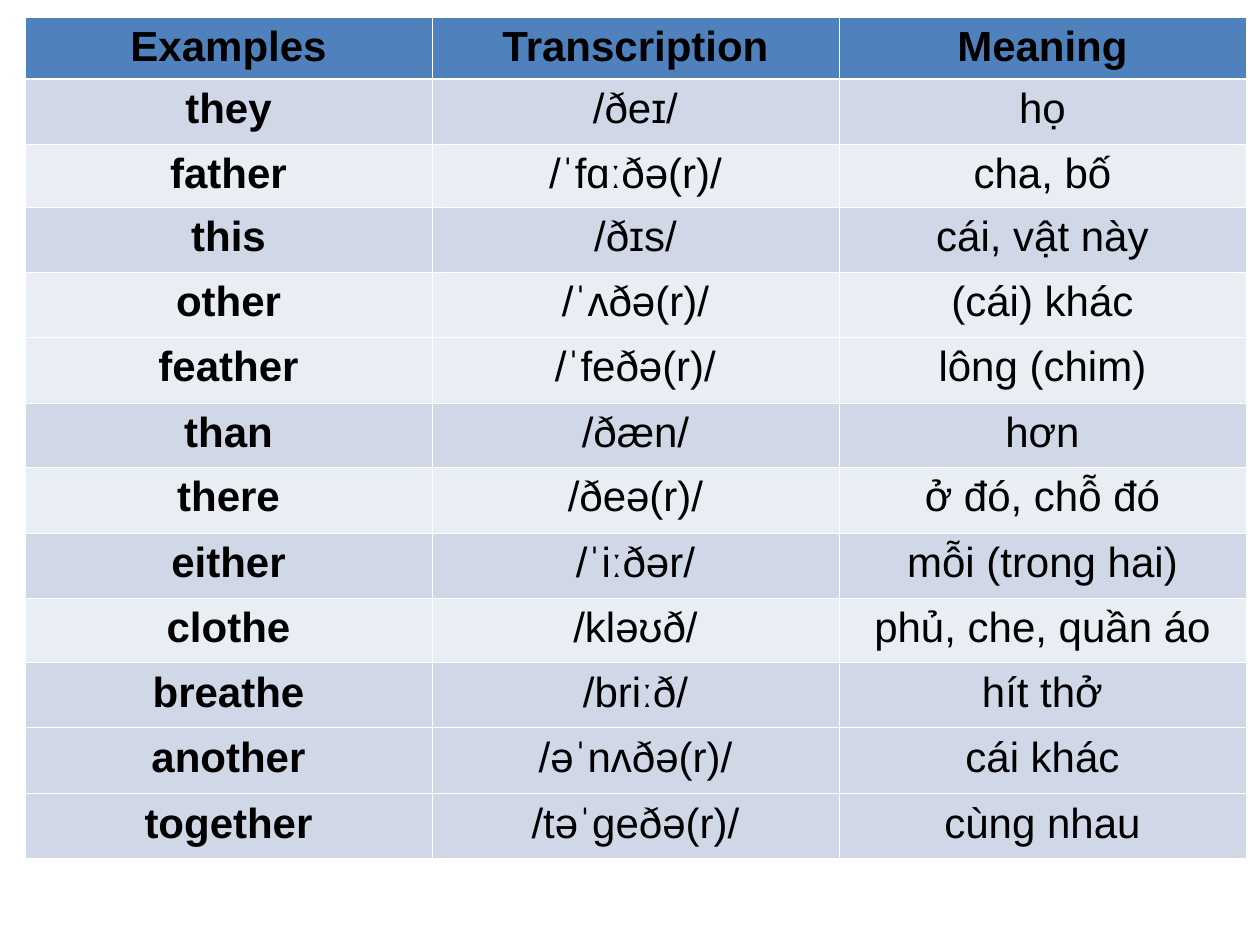
from lxml import etree
from pptx import Presentation
from pptx.dml.color import RGBColor
from pptx.enum.text import PP_ALIGN
from pptx.oxml.ns import qn
from pptx.util import Emu, Pt

CENTER = PP_ALIGN.CENTER
EMU_PER_PX = 914400 / 126

THEME = {
    "font": "Arial",
    "size": 24,
    "text": "000000",
    "header": "4F81BD",
    "dark": "D0D8E8",
    "light": "E9EDF4",
    "border": "FFFFFF",
    "thin": 0.45,
    "thick": 1.47,
}

HEADINGS = ("Examples", "Transcription", "Meaning")
VOCABULARY = [
    ("they", "/ðeɪ/", "họ", "dark"),
    ("father", "/ˈfɑːðə(r)/", "cha, bố", "light"),
    ("this", "/ðɪs/", "cái, vật này", "dark"),
    ("other", "/ˈʌðə(r)/", "(cái) khác", "light"),
    ("feather", "/ˈfeðə(r)/", "lông (chim)", "light"),
    ("than", "/ðæn/", "hơn", "dark"),
    ("there", "/ðeə(r)/", "ở đó, chỗ đó", "light"),
    ("either", "/ˈiːðər/", "mỗi (trong hai)", "dark"),
    ("clothe", "/kləʊð/", "phủ, che, quần áo", "light"),
    ("breathe", "/briːð/", "hít thở", "dark"),
    ("another", "/əˈnʌðə(r)/", "cái khác", "dark"),
    ("together", "/təˈgeðə(r)/", "cùng nhau", "dark"),
]
ROW_HEIGHTS = [62, 65, 63, 65, 65, 66, 64, 66, 65, 65, 65, 66, 65]
COLUMN_WIDTH = 407


def px(length):
    return Emu(round(length * EMU_PER_PX))


def write_cell(cell, text, *, fill, bold=False, top=THEME["thin"], bottom=THEME["thin"]):
    """Fill one table cell with centred text, a background and four borders."""
    properties = cell._tc.get_or_add_tcPr()
    widths = {"a:lnL": THEME["thin"], "a:lnR": THEME["thin"], "a:lnT": top, "a:lnB": bottom}
    for tag, width in widths.items():
        border = etree.SubElement(properties, qn(tag), w=str(Pt(width)))
        solid = etree.SubElement(border, qn("a:solidFill"))
        etree.SubElement(solid, qn("a:srgbClr"), val=THEME["border"])
    cell.fill.solid()
    cell.fill.fore_color.rgb = RGBColor.from_string(fill)

    paragraph = cell.text_frame.paragraphs[0]
    paragraph.alignment = CENTER
    run = paragraph.add_run()
    run.text = text
    run.font.name = THEME["font"]
    run.font.size = Pt(THEME["size"])
    run.font.bold = bold
    run.font.color.rgb = RGBColor.from_string(THEME["text"])


presentation = Presentation()
presentation.slide_width = px(1260)
presentation.slide_height = px(945)
slide = presentation.slides.add_slide(presentation.slide_layouts[6])

word_table = slide.shapes.add_table(
    len(ROW_HEIGHTS), len(HEADINGS),
    px(25), px(17), px(COLUMN_WIDTH * len(HEADINGS)), px(sum(ROW_HEIGHTS)),
).table
for column in word_table.columns:
    column.width = px(COLUMN_WIDTH)
for row, height in zip(word_table.rows, ROW_HEIGHTS):
    row.height = px(height)

for column, heading in enumerate(HEADINGS):
    write_cell(word_table.cell(0, column), heading, fill=THEME["header"], bold=True,
               bottom=THEME["thick"])

for row, (*entry, shade) in enumerate(VOCABULARY, start=1):
    for column, text in enumerate(entry):
        write_cell(word_table.cell(row, column), text, fill=THEME[shade], bold=column == 0,
                   top=THEME["thick"] if row == 1 else THEME["thin"])

presentation.save("out.pptx")
